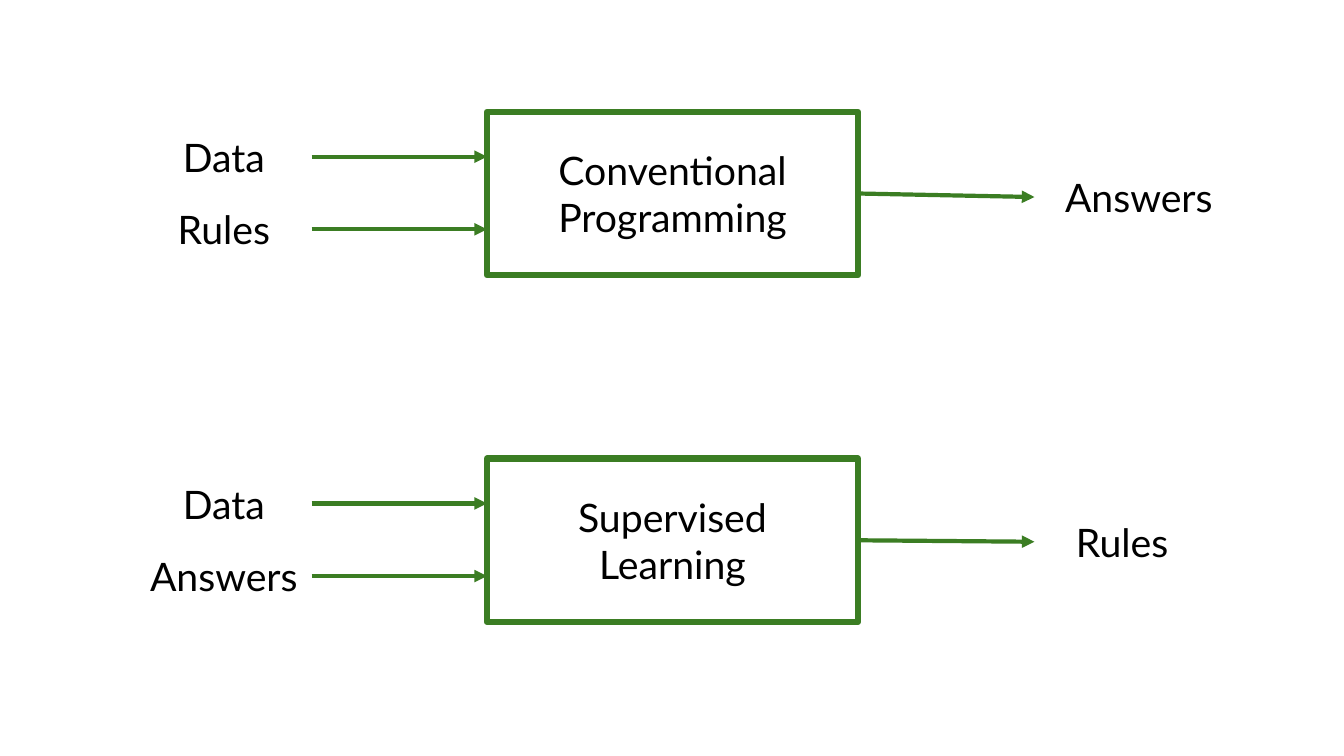
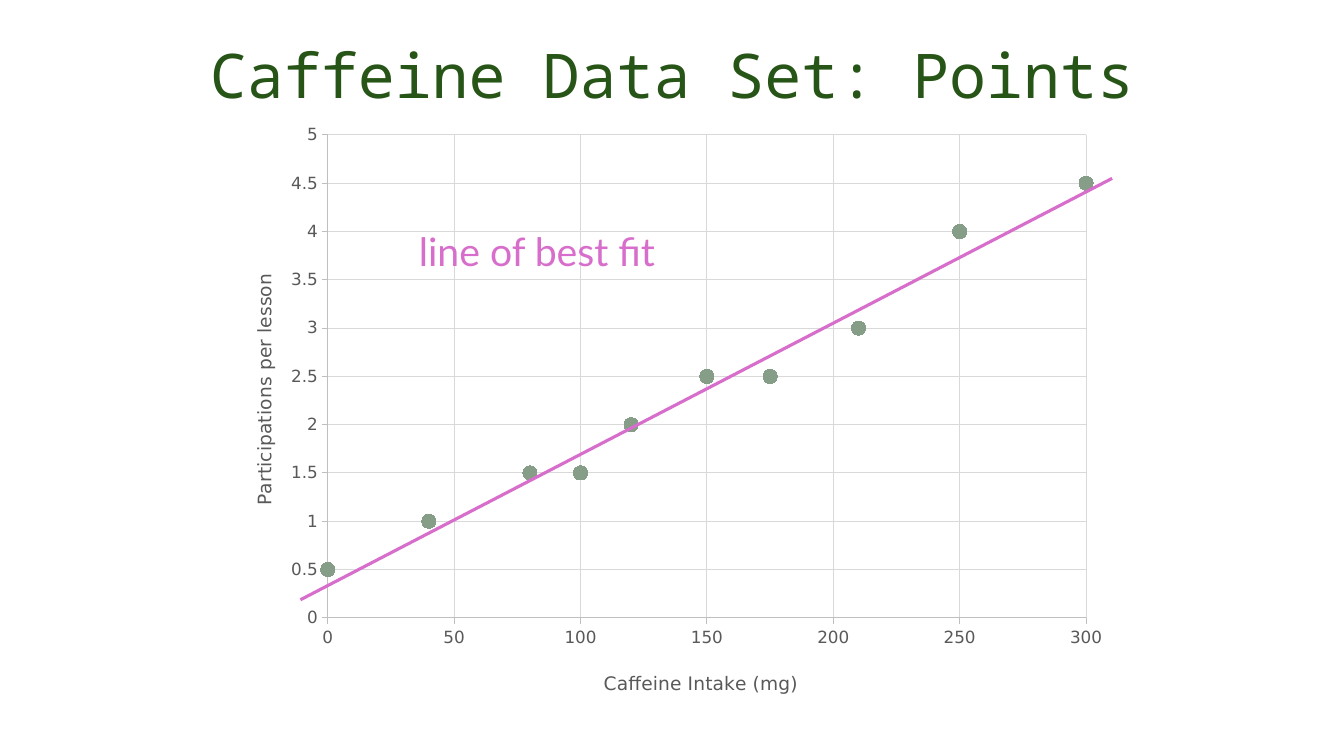
"""Build two slides: programming versus supervised learning, and a scatter with its line of best fit."""
from lxml import etree
from pptx import Presentation
from pptx.chart.data import XyChartData
from pptx.dml.color import RGBColor
from pptx.enum.chart import XL_CHART_TYPE, XL_MARKER_STYLE, XL_TICK_MARK
from pptx.enum.shapes import MSO_CONNECTOR, MSO_SHAPE
from pptx.enum.text import MSO_ANCHOR, MSO_AUTO_SIZE, PP_ALIGN
from pptx.oxml import parse_xml
from pptx.oxml.ns import nsdecls, qn
from pptx.util import Inches, Pt

SCATTER = XL_CHART_TYPE.XY_SCATTER
CIRCLE = XL_MARKER_STYLE.CIRCLE
TICK_OUT = XL_TICK_MARK.OUTSIDE
STRAIGHT = MSO_CONNECTOR.STRAIGHT
PROCESS = MSO_SHAPE.FLOWCHART_PROCESS
TOP, MIDDLE = MSO_ANCHOR.TOP, MSO_ANCHOR.MIDDLE
GROW = MSO_AUTO_SIZE.SHAPE_TO_FIT_TEXT
CENTER = PP_ALIGN.CENTER

BLACK, GREEN, DARK_GREEN, PINK = "000000", "3B7D23", "275417", "D86ECC"
SAGE, GRAY, AXIS_GRAY, GRID_GRAY = "869E87", "595959", "BFBFBF", "D9D9D9"
BODY_FONT, TITLE_FONT, CHART_FONT = "Lato", "Noto Sans Mono", "DejaVu Sans"

FLOWS = [
    {"inputs": ["Data", "Rules"], "process": "Conventional Programming",
     "output": "Answers", "output_width": 2.07, "output_drop": 0.56},
    {"inputs": ["Data", "Answers"], "process": "Supervised Learning",
     "output": "Rules", "output_width": 1.74, "output_drop": 0.54},
]
FLOW_TOP, FLOW_STEP = 1.11, 3.44
INPUT_LEFT, INPUT_WIDTH, INPUT_DROP, INPUT_STEP = 1.35, 1.74, 0.16, 0.72
BOX_LEFT, BOX_WIDTH, BOX_HEIGHT, BOX_INSET = 4.83, 3.68, 1.62, 0.41
OUTPUT_LEFT, LABEL_HEIGHT = 10.26, 0.57

TITLE = "Caffeine Data Set: Points"
FIT_LABEL = "line of best fit"
POINTS = [(0, 0.5), (100, 1.5), (150, 2.5), (40, 1), (250, 4),
          (120, 2), (300, 4.5), (175, 2.5), (210, 3), (80, 1.5)]
CHART_FRAME = (2.22, 1.12, 8.89, 5.93)
PLOT_FRAME = (3.25, 1.34, 7.52, 4.79)
FIT_START, FIT_END = (2.98, 5.95), (11.03, 1.77)
AXES = [
    {"name": "category_axis", "title": "Caffeine Intake (mg)", "maximum": 300,
     "unit": 50, "title_at": (5.95, 6.62)},
    {"name": "value_axis", "title": "Participations per lesson", "maximum": 5,
     "unit": 0.5, "title_at": (2.46, 2.68)},
]


def color(value):
    return RGBColor.from_string(value)


def style_font(font, size, tint, name):
    font.size, font.name, font.bold = Pt(size), name, False
    font.color.rgb = color(tint)


def style_line(line, tint, width):
    line.color.rgb = color(tint)
    line.width = Pt(width)


def write(shape, text, size=28, tint=BLACK, font=BODY_FONT, anchor=MIDDLE,
          inset=0.1, spacing=None):
    frame = shape.text_frame
    frame.word_wrap = True
    frame.vertical_anchor = anchor
    frame.margin_left = frame.margin_right = Inches(inset)
    paragraph = frame.paragraphs[0]
    paragraph.alignment = CENTER
    paragraph.line_spacing = spacing
    run = paragraph.add_run()
    run.text = text
    style_font(run.font, size, tint, font)


def add_text(slide, frame, text, grow=True, **text_format):
    box = slide.shapes.add_textbox(*map(Inches, frame))
    write(box, text, **text_format)
    if grow:
        box.text_frame.auto_size = GROW
    return box


def add_line(slide, start, end, tint=GREEN, width=3, arrow=True):
    line = slide.shapes.add_connector(STRAIGHT, *map(Inches, start + end))
    style_line(line.line, tint, width)
    if arrow:
        etree.SubElement(line.line._get_or_add_ln(), qn("a:tailEnd"), type="triangle")
    etree.SubElement(line._element.spPr, qn("a:effectLst"))
    return line


def add_flow(slide, top, flow):
    box = slide.shapes.add_shape(
        PROCESS, *map(Inches, (BOX_LEFT, top, BOX_WIDTH, BOX_HEIGHT)))
    box.shadow.inherit = False
    box.fill.background()
    style_line(box.line, GREEN, 4.5)
    write(box, flow["process"], inset=BOX_INSET)

    for index, name in enumerate(flow["inputs"]):
        label_top = top + INPUT_DROP + index * INPUT_STEP
        label = add_text(slide, (INPUT_LEFT, label_top, INPUT_WIDTH, LABEL_HEIGHT), name)
        middle = label_top + LABEL_HEIGHT / 2
        arrow = add_line(slide, (INPUT_LEFT + INPUT_WIDTH, middle), (BOX_LEFT, middle))
        arrow.begin_connect(label, 3)

    label_top = top + flow["output_drop"]
    label = add_text(slide, (OUTPUT_LEFT, label_top, flow["output_width"], LABEL_HEIGHT),
                     flow["output"])
    arrow = add_line(slide, (BOX_LEFT + BOX_WIDTH, top + BOX_HEIGHT / 2),
                     (OUTPUT_LEFT, label_top + LABEL_HEIGHT / 2))
    arrow.begin_connect(box, 3)
    arrow.end_connect(label, 1)


def manual_layout(left, top, size=None):
    chart_left, chart_top, chart_width, chart_height = CHART_FRAME
    values = [("xMode", "edge"), ("yMode", "edge"),
              ("x", round((left - chart_left) / chart_width, 3)),
              ("y", round((top - chart_top) / chart_height, 3))]
    if size:
        values = [("layoutTarget", "inner")] + values + [
            ("w", round(size[0] / chart_width, 3)),
            ("h", round(size[1] / chart_height, 3))]
    parts = "".join(f'<c:{tag} val="{value}"/>' for tag, value in values)
    return parse_xml(f'<c:layout {nsdecls("c")}><c:manualLayout>{parts}'
                     "</c:manualLayout></c:layout>")


def place(element, layout):
    for previous in element.findall(qn("c:layout")):
        element.remove(previous)
    text = element.find(qn("c:tx"))
    element.insert(0 if text is None else 1, layout)


def style_axis(axis, title, maximum, unit, title_at):
    axis.minimum_scale, axis.maximum_scale, axis.major_unit = 0, maximum, unit
    axis.major_tick_mark = TICK_OUT
    axis.has_major_gridlines = True
    style_line(axis.major_gridlines.format.line, GRID_GRAY, 0.75)
    style_line(axis.format.line, AXIS_GRAY, 0.75)
    style_font(axis.tick_labels.font, 12, GRAY, CHART_FONT)
    axis.tick_labels.number_format = "General"
    axis.tick_labels.number_format_is_linked = False
    axis.has_title = True
    run = axis.axis_title.text_frame.paragraphs[0].add_run()
    run.text = title
    style_font(run.font, 13.3, GRAY, CHART_FONT)
    place(axis.axis_title._element, manual_layout(*title_at))


def add_scatter(slide):
    data = XyChartData()
    points = data.add_series("Series 1")
    for x, y in POINTS:
        points.add_data_point(x, y)
    chart = slide.shapes.add_chart(SCATTER, *map(Inches, CHART_FRAME), data).chart
    chart.has_legend = chart.has_title = False
    style_font(chart.font, 10, BLACK, CHART_FONT)
    plot = chart.plots[0]
    plot.vary_by_categories = False
    series = plot.series[0]
    series.smooth = False
    series.format.line.fill.background()
    marker = series.marker
    marker.style, marker.size = CIRCLE, 10
    marker.format.fill.solid()
    marker.format.fill.fore_color.rgb = color(SAGE)
    style_line(marker.format.line, SAGE, 0.75)
    for axis in AXES:
        style_axis(getattr(chart, axis["name"]), axis["title"], axis["maximum"],
                   axis["unit"], axis["title_at"])
    left, top, *size = PLOT_FRAME
    place(chart._chartSpace.chart.plotArea, manual_layout(left, top, size))


def main():
    presentation = Presentation()
    presentation.slide_width, presentation.slide_height = Inches(13.33), Inches(7.5)
    blank = presentation.slide_layouts[6]

    flow_slide = presentation.slides.add_slide(blank)
    for index, flow in enumerate(FLOWS):
        add_flow(flow_slide, FLOW_TOP + index * FLOW_STEP, flow)

    chart_slide = presentation.slides.add_slide(blank)
    add_scatter(chart_slide)
    add_text(chart_slide, (0.92, 0.4, 11.5, 1.45), TITLE, grow=False, size=44,
             tint=DARK_GREEN, font=TITLE_FONT, anchor=TOP, spacing=0.9)
    add_line(chart_slide, FIT_START, FIT_END, tint=PINK, width=2.25, arrow=False)
    add_text(chart_slide, (3.76, 2.21, 3.13, LABEL_HEIGHT), FIT_LABEL, tint=PINK, anchor=TOP)

    presentation.save("out.pptx")


if __name__ == "__main__":
    main()
